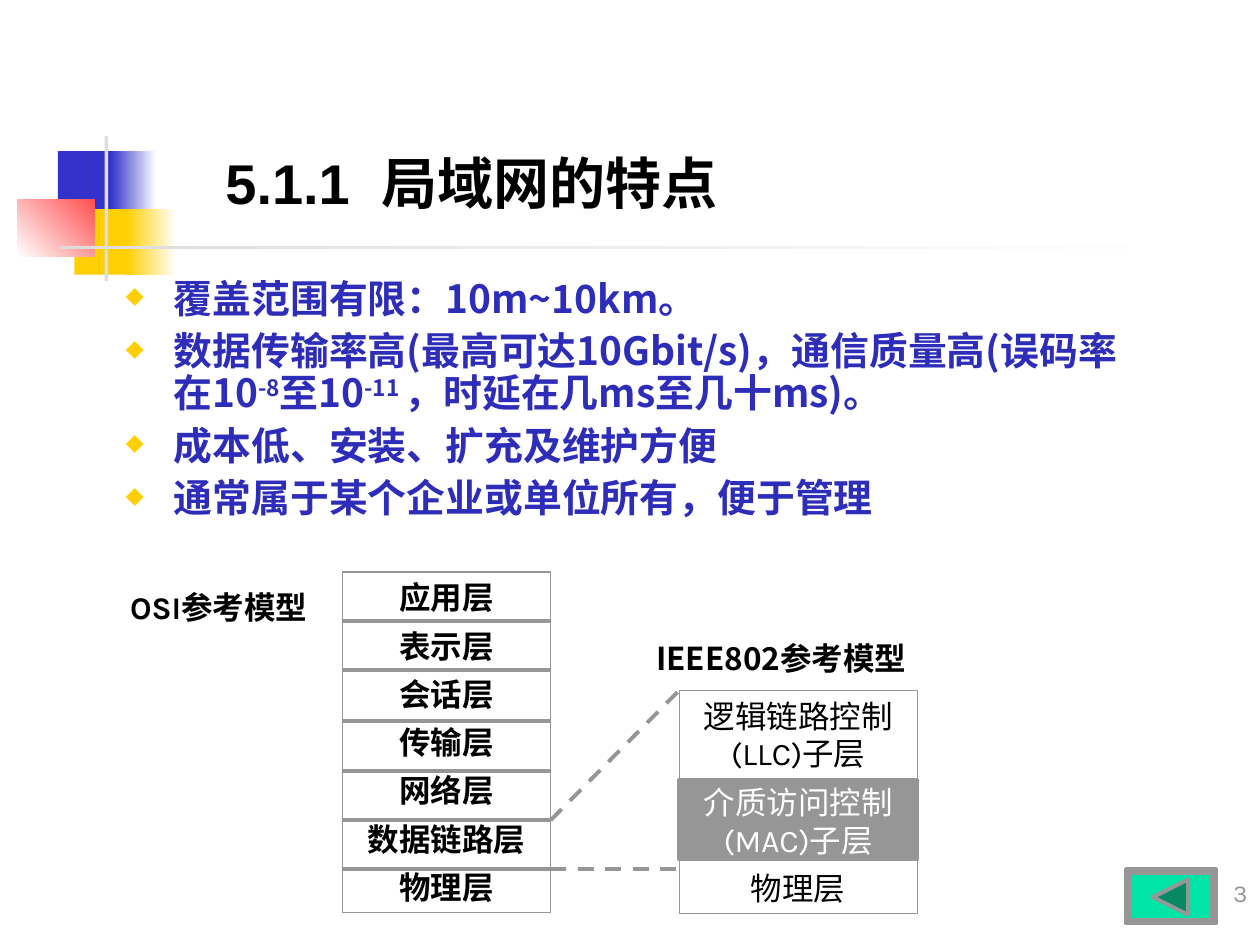
from lxml import etree
from pptx import Presentation
from pptx.dml.color import RGBColor
from pptx.enum.dml import MSO_LINE
from pptx.enum.shapes import MSO_CONNECTOR, MSO_SHAPE
from pptx.enum.text import MSO_ANCHOR, PP_ALIGN
from pptx.oxml.ns import qn
from pptx.util import Pt

PX = 9144  # 100 px to the inch

RECTANGLE = MSO_SHAPE.RECTANGLE
LEFT, CENTER, RIGHT = PP_ALIGN.LEFT, PP_ALIGN.CENTER, PP_ALIGN.RIGHT
CJK_FONT = "Noto Sans CJK SC"

BLACK = RGBColor(0x00, 0x00, 0x00)
WHITE = RGBColor(0xFF, 0xFF, 0xFF)
GRAY = RGBColor(0x96, 0x96, 0x96)
PALE_GRAY = RGBColor(0xDD, 0xDD, 0xDD)
BLUE = RGBColor(0x33, 0x33, 0xCC)
TEXT_BLUE = RGBColor(0x2D, 0x2D, 0xB9)
YELLOW = RGBColor(0xFF, 0xCF, 0x01)
RED = RGBColor(0xFF, 0x50, 0x50)
GREEN = RGBColor(0x00, 0xE4, 0xA8)
DARK_GREEN = RGBColor(0x08, 0x89, 0x66)

presentation = Presentation()
presentation.slide_width = 1000 * PX
presentation.slide_height = 750 * PX
slide = presentation.slides.add_slide(presentation.slide_layouts[6])


def add_box(kind, left, top, width, height, fill=None, line_width=None):
    """Add a preset shape; a missing fill or line width leaves that part out."""
    shape = slide.shapes.add_shape(kind, left * PX, top * PX, width * PX, height * PX)
    shape.shadow.inherit = False
    if fill is None:
        shape.fill.background()
    else:
        shape.fill.solid()
        shape.fill.fore_color.rgb = fill
    if line_width is None:
        shape.line.fill.background()
    else:
        shape.line.color.rgb = GRAY
        shape.line.width = Pt(line_width)
    return shape


def write(shape, texts, size, font_name, color=BLACK, bold=False, align=CENTER,
          anchor=MSO_ANCHOR.TOP):
    """Write one paragraph per text; parts between ^ marks are superscript."""
    frame = shape.text_frame
    frame.word_wrap = True
    frame.vertical_anchor = anchor
    for index, text in enumerate(texts):
        paragraph = frame.paragraphs[0] if index == 0 else frame.add_paragraph()
        paragraph.alignment = align
        if index:
            paragraph.space_before = Pt(6)
        for part, piece in enumerate(text.split("^")):
            run = paragraph.add_run()
            run.text = piece
            run.font.size = Pt(size)
            run.font.name = font_name
            run.font.bold = bold
            run.font.color.rgb = color
            properties = run._r.get_or_add_rPr()
            etree.SubElement(properties, qn("a:ea")).set("typeface", CJK_FONT)
            if part % 2:
                properties.set("baseline", "30000")
    return frame


# Corner decoration: left, top, width, height, start colour, end colour, angle
decoration = [
    (46, 120, 48, 52, BLUE, None, 0),
    (88, 120, 36, 52, BLUE, WHITE, 0),
    (59, 166, 46, 52, YELLOW, None, 0),
    (100, 166, 40, 52, YELLOW, WHITE, 0),
    (14, 158, 61, 46, WHITE, RED, 45),
    (83, 108, 3, 115, PALE_GRAY, None, 0),
    (48, 195, 900, 3, PALE_GRAY, WHITE, 0),
]
for left, top, width, height, start, end, angle in decoration:
    block = add_box(RECTANGLE, left, top, width, height, start)
    if end is not None:
        block.fill.gradient()
        block.fill.gradient_angle = angle
        for stop, color in zip(block.fill.gradient_stops, (start, end)):
            stop.color.rgb = color

# Title and bullets
title = slide.shapes.add_textbox(169 * PX, 60 * PX, 701 * PX, 116 * PX)
write(title, ["5.1.1  局域网的特点"], 32, "Arial", bold=True, align=LEFT,
      anchor=MSO_ANCHOR.BOTTOM)

features = [
    "覆盖范围有限：10m~10km。",
    "数据传输率高(最高可达10Gbit/s)，通信质量高(误码率在10^-8^至10^-11 ^，时延在几ms至几十ms)。",
    "成本低、安装、扩充及维护方便",
    "通常属于某个企业或单位所有，便于管理",
]
body = slide.shapes.add_textbox(90 * PX, 217 * PX, 835 * PX, 252 * PX)
frame = write(body, features, 22.2, CJK_FONT, TEXT_BLUE, bold=True, align=LEFT)
for paragraph in frame.paragraphs:
    paragraph.line_spacing = 0.9
    properties = paragraph._p.get_or_add_pPr()
    properties.set("marL", str(38 * PX))
    properties.set("indent", str(-38 * PX))
    bullet_color = etree.SubElement(properties, qn("a:buClr"))
    etree.SubElement(bullet_color, qn("a:srgbClr")).set("val", str(YELLOW))
    etree.SubElement(properties, qn("a:buSzPct")).set("val", "60000")
    etree.SubElement(properties, qn("a:buChar")).set("char", "◆")

# Model headings and slide number
labels = [
    (83, 462, 181, 40, "OSI参考模型", 18, "Karla", BLACK, True, CENTER, MSO_ANCHOR.TOP),
    (488, 502, 264, 40, "IEEE802参考模型", 18, CJK_FONT, BLACK, True, CENTER, MSO_ANCHOR.TOP),
    (792, 675, 208, 50, "3", 14, "Karla", GRAY, False, RIGHT, MSO_ANCHOR.BOTTOM),
]
for left, top, width, height, text, *style in labels:
    label = slide.shapes.add_textbox(left * PX, top * PX, width * PX, height * PX)
    write(label, [text], *style)

# Layer stacks
osi_layers = ["应用层", "表示层", "会话层", "传输层", "网络层", "数据链路层", "物理层"]
osi_stack = add_box(RECTANGLE, 272, 454, 165, 270, line_width=0.75)
write(osi_stack, osi_layers, 18, "Karla", bold=True)

add_box(RECTANGLE, 539, 619, 189, 63, GRAY, 2.25)
ieee_layers = ["逻辑链路控制(LLC)子层", "介质访问控制(MAC)子层", "物理层"]
ieee_stack = add_box(RECTANGLE, 539, 548, 189, 177, line_width=0.75)
frame = write(ieee_stack, ieee_layers, 18, "Karla")
frame.paragraphs[1].runs[0].font.color.rgb = WHITE

# Dividers between the OSI layers, then the dashed links to the IEEE stack
divider_tops = [round(493 + 39.5 * step) for step in range(len(osi_layers) - 1)]
lines = [(272, top, 437, top, False) for top in divider_tops]
lines += [(437, divider_tops[-2], 539, 548, True),
          (437, divider_tops[-1], 539, divider_tops[-1], True)]
for x1, y1, x2, y2, dashed in lines:
    connector = slide.shapes.add_connector(
        MSO_CONNECTOR.STRAIGHT, x1 * PX, y1 * PX, x2 * PX, y2 * PX)
    connector.line.color.rgb = GRAY
    connector.line.width = Pt(2.25)
    if dashed:
        connector.line.dash_style = MSO_LINE.DASH
    etree.SubElement(connector._element.spPr, qn("a:effectLst"))

# Back button
button = add_box(MSO_SHAPE.BEVEL, 894, 690, 71, 43, GREEN, 2.25)
button.adjustments[0] = 0.07
arrow = add_box(MSO_SHAPE.ISOSCELES_TRIANGLE, 915, 698, 28, 28, DARK_GREEN, 2.25)
arrow.rotation = 270

presentation.save("out.pptx")
